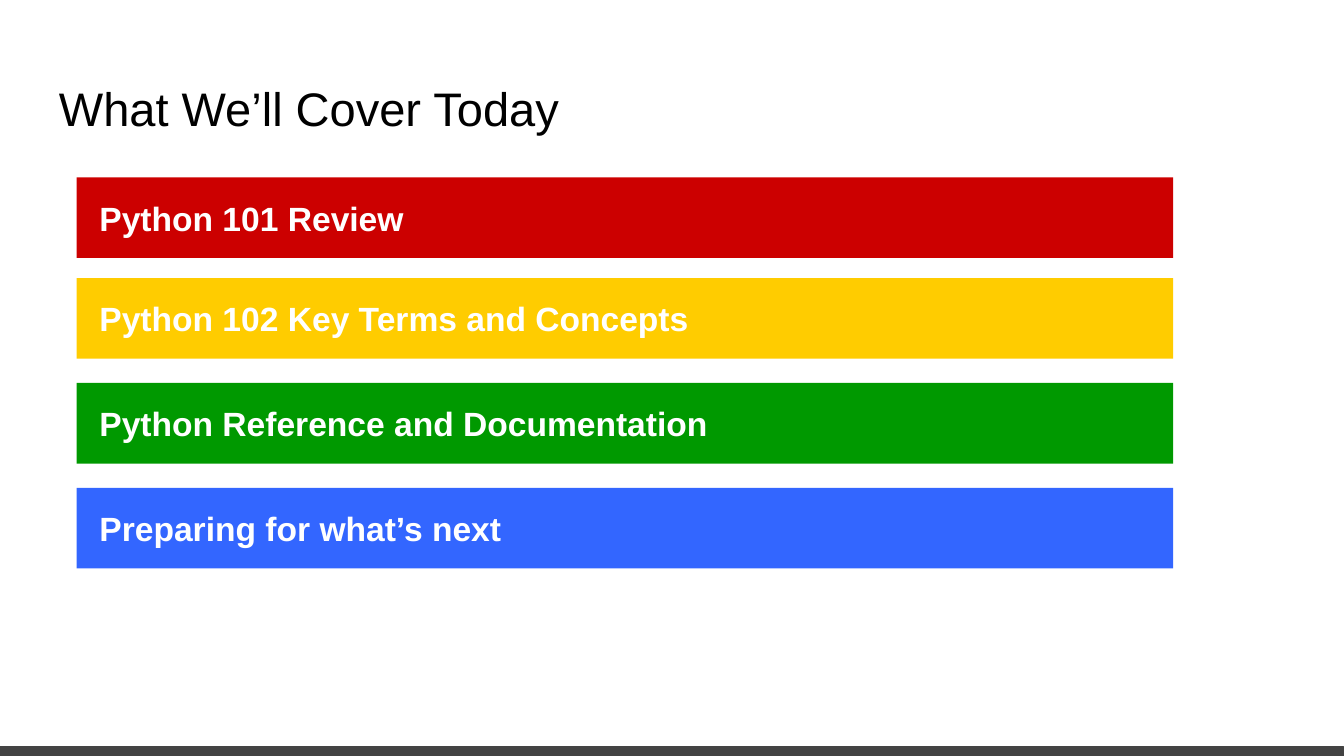
from pptx import Presentation
from pptx.dml.color import RGBColor
from pptx.enum.shapes import MSO_SHAPE
from pptx.enum.text import MSO_ANCHOR, PP_ALIGN
from pptx.util import Inches, Pt

RECTANGLE = MSO_SHAPE.RECTANGLE
TOP, MIDDLE = MSO_ANCHOR.TOP, MSO_ANCHOR.MIDDLE
LEFT = PP_ALIGN.LEFT

COLORS = {
    "black": "000000",
    "white": "FFFFFF",
    "footer": "434343",
    "red": "CC0000",
    "yellow": "FFCC00",
    "green": "009900",
    "blue": "3366FF",
}
TOPICS = [
    ("Python 101 Review", "red", 1.32),
    ("Python 102 Key Terms and Concepts", "yellow", 2.07),
    ("Python Reference and Documentation", "green", 2.85),
    ("Preparing for what’s next", "blue", 3.63),
]
TITLE_FRAME = {
    "word_wrap": True,
    "vertical_anchor": TOP,
    "margin_left": Inches(0.1),
    "margin_top": Inches(0.1),
    "margin_right": Inches(0.1),
    "margin_bottom": Inches(0.1),
}
TOPIC_FRAME = {
    "word_wrap": True,
    "vertical_anchor": MIDDLE,
    "margin_left": Inches(0.17),
    "margin_top": Inches(0.07),
    "margin_right": Inches(0.07),
    "margin_bottom": Inches(0.07),
}
TITLE_FONT = {"name": "Arial", "size": Pt(25.2), "bold": False}
TOPIC_FONT = {"name": "Arial", "size": Pt(18), "bold": True}


def add_bar(slide, left, top, width, height, color):
    shape = slide.shapes.add_shape(
        RECTANGLE, Inches(left), Inches(top), Inches(width), Inches(height)
    )
    shape.shadow.inherit = False
    shape.fill.solid()
    shape.fill.fore_color.rgb = RGBColor.from_string(COLORS[color])
    shape.line.fill.background()
    return shape


def write_text(shape, text, frame_format, font_format, color):
    frame = shape.text_frame
    for name, value in frame_format.items():
        setattr(frame, name, value)
    paragraph = frame.paragraphs[0]
    paragraph.alignment = LEFT
    run = paragraph.add_run()
    run.text = text
    for name, value in font_format.items():
        setattr(run.font, name, value)
    run.font.color.rgb = RGBColor.from_string(COLORS[color])


presentation = Presentation()
presentation.slide_width = Inches(10)
presentation.slide_height = Inches(10 * 9 / 16)
slide = presentation.slides.add_slide(presentation.slide_layouts[6])

footer = add_bar(slide, 0, 5.56, 10, 0.07, "footer")
footer.line.color.rgb = RGBColor.from_string(COLORS["footer"])
footer.line.width = Pt(1.5)

for text, color, top in TOPICS:
    bar = add_bar(slide, 0.57, top, 8.16, 0.6, color)
    write_text(bar, text, TOPIC_FRAME, TOPIC_FONT, "white")

title = slide.shapes.add_textbox(Inches(0.34), Inches(0.49), Inches(9.32), Inches(0.63))
write_text(title, "What We’ll Cover Today", TITLE_FRAME, TITLE_FONT, "black")

presentation.save("out.pptx")
